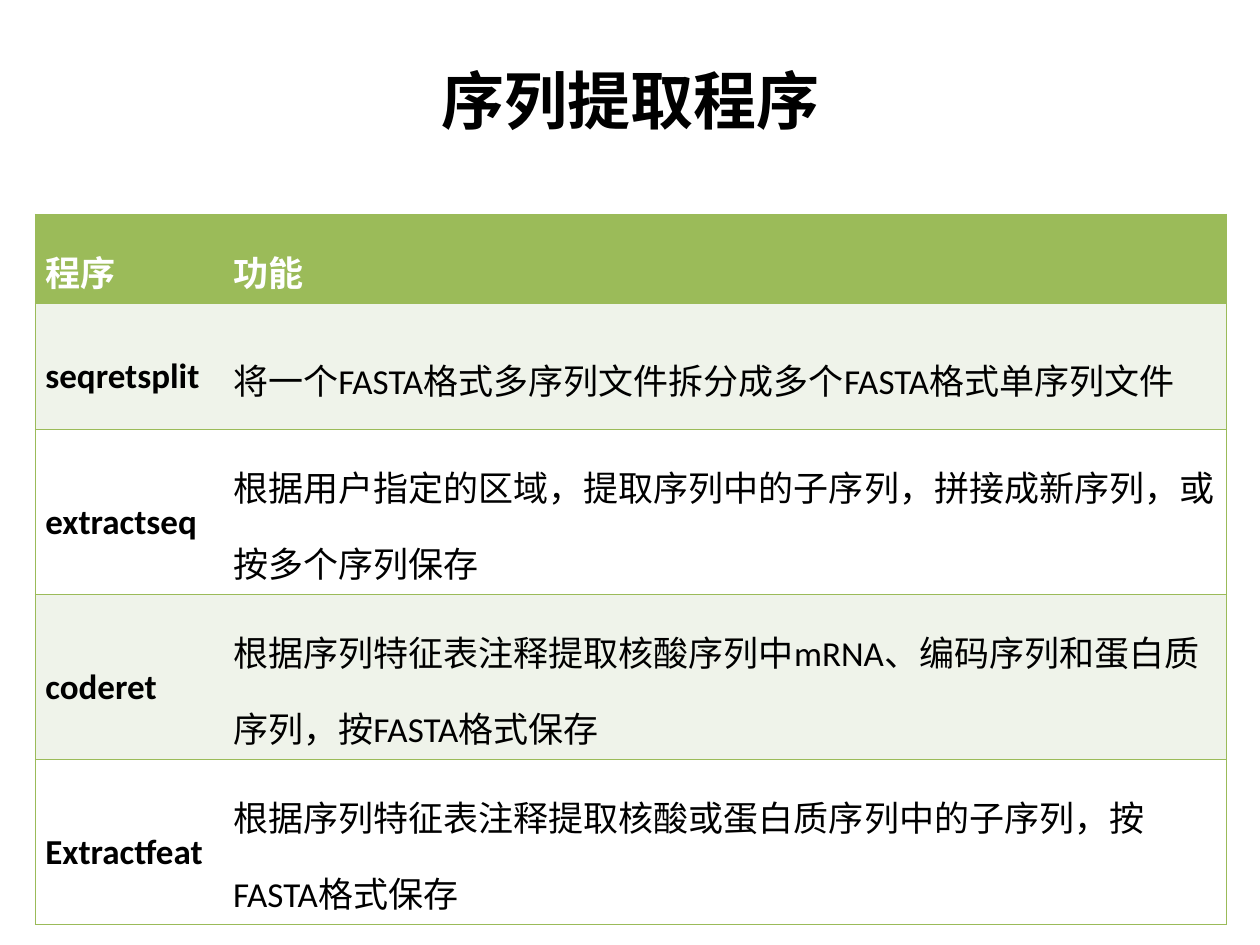
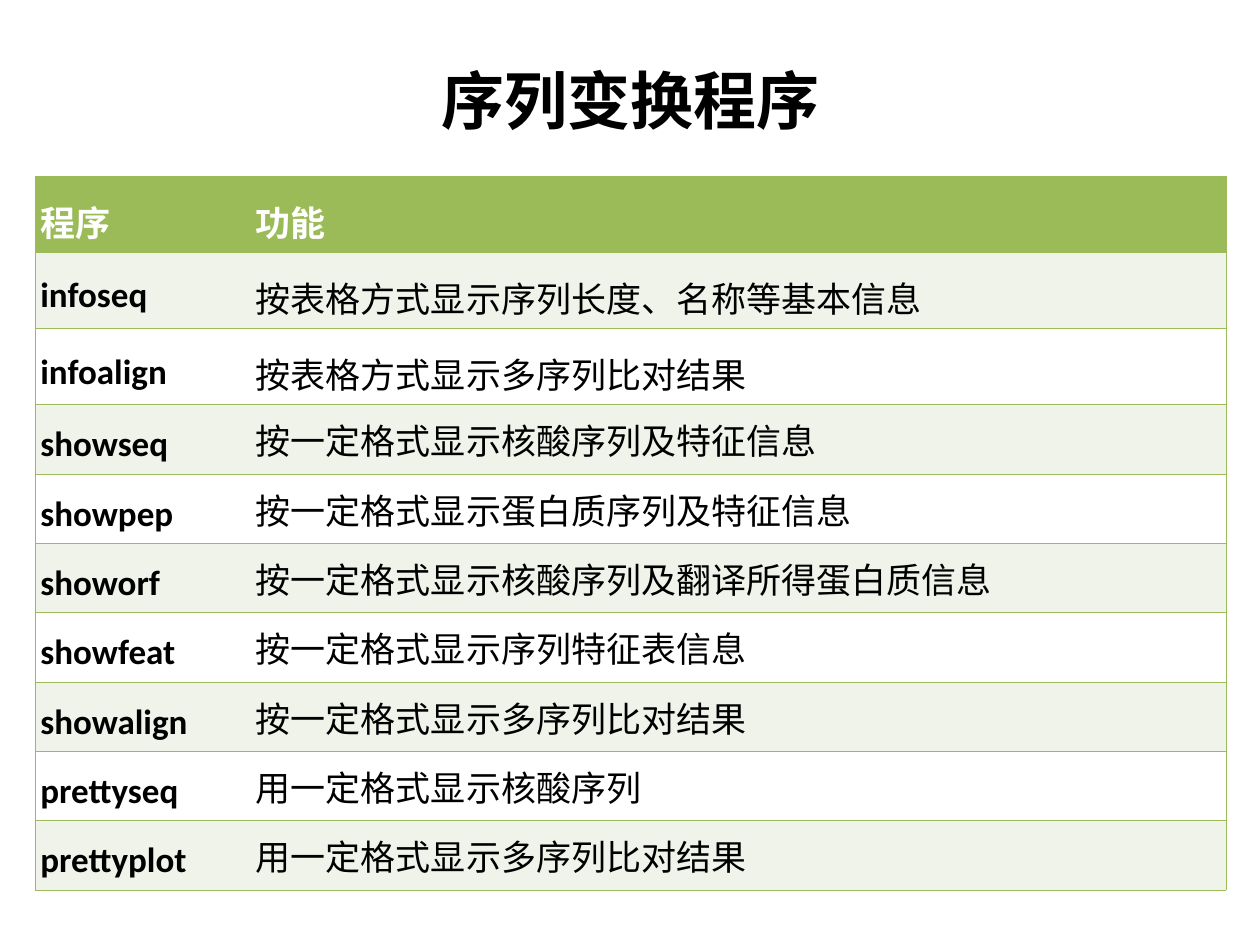
"""Build two slides listing sequence extraction and sequence display programs."""
from lxml.etree import SubElement
from pptx import Presentation
from pptx.dml.color import RGBColor
from pptx.enum.text import MSO_ANCHOR, MSO_AUTO_SIZE, PP_ALIGN
from pptx.oxml.ns import qn
from pptx.util import Inches, Pt

GREEN = RGBColor(0x9B, 0xBB, 0x59)
PALE_GREEN = RGBColor(0xEF, 0xF3, 0xEA)
WHITE = RGBColor(0xFF, 0xFF, 0xFF)
BLACK = RGBColor(0x00, 0x00, 0x00)
FONT = "Calibri"
LEFT, WIDTH = 0.28, 9.45
HEADINGS = ("程序", "功能")

TOPICS = [
    {
        "title": "序列提取程序",
        "top": 1.7,
        "columns": (1.49, 7.96),
        "heights": (0.61, 1, 1.3, 1.3, 1.3),
        "inset": 0.08,
        "spacing": 1.5,
        "justified_from": None,
        "programs": [
            ("seqretsplit", "将一个FASTA格式多序列文件拆分成多个FASTA格式单序列文件"),
            ("extractseq", "根据用户指定的区域，提取序列中的子序列，拼接成新序列，或按多个序列保存"),
            ("coderet", "根据序列特征表注释提取核酸序列中mRNA、编码序列和蛋白质序列，按FASTA格式保存"),
            ("Extractfeat", "根据序列特征表注释提取核酸或蛋白质序列中的子序列，按FASTA格式保存"),
        ],
    },
    {
        "title": "序列变换程序",
        "top": 1.4,
        "columns": (1.71, 7.74),
        "heights": (0.55,) * 10,
        "inset": 0.04,
        "spacing": 1.25,
        "justified_from": 3,
        "programs": [
            ("infoseq", "按表格方式显示序列长度、名称等基本信息"),
            ("infoalign", "按表格方式显示多序列比对结果"),
            ("showseq", "按一定格式显示核酸序列及特征信息"),
            ("showpep", "按一定格式显示蛋白质序列及特征信息"),
            ("showorf", "按一定格式显示核酸序列及翻译所得蛋白质信息"),
            ("showfeat", "按一定格式显示序列特征表信息"),
            ("showalign", "按一定格式显示多序列比对结果"),
            ("prettyseq", "用一定格式显示核酸序列"),
            ("prettyplot", "用一定格式显示多序列比对结果"),
        ],
    },
]


def apply(target, values):
    for name, value in values.items():
        setattr(target, name, value)


def draw_borders(cell, open_side):
    properties = cell._tc.get_or_add_tcPr()
    for side in ("lnL", "lnR", "lnT", "lnB"):
        border = SubElement(properties, qn(f"a:{side}"), w=str(Pt(0.45)))
        if side == open_side:
            SubElement(border, qn("a:noFill"))
        else:
            color = SubElement(border, qn("a:solidFill"))
            SubElement(color, qn("a:srgbClr"), val=str(GREEN))


prs = Presentation()
prs.slide_width, prs.slide_height = Inches(10), Inches(7.5)

for topic in TOPICS:
    slide = prs.slides.add_slide(prs.slide_layouts[5])
    title = slide.shapes.title
    apply(title, {"left": Inches(LEFT), "top": Inches(0.39),
                  "width": Inches(WIDTH), "height": Inches(0.79)})
    title.text_frame.text = topic["title"]
    apply(title.text_frame, {
        "margin_left": Inches(0.14), "margin_right": Inches(0.14),
        "margin_top": Inches(0.08), "margin_bottom": Inches(0.08),
        "vertical_anchor": MSO_ANCHOR.MIDDLE,
        "auto_size": MSO_AUTO_SIZE.NONE, "word_wrap": True})
    heading = title.text_frame.paragraphs[0]
    apply(heading, {"alignment": PP_ALIGN.CENTER, "space_before": Pt(0)})
    apply(heading.runs[0].font, {"name": FONT, "size": Pt(36), "bold": True})
    heading.runs[0].font.color.rgb = BLACK

    rows = [HEADINGS, *topic["programs"]]
    programs = slide.shapes.add_table(
        len(rows), len(HEADINGS), Inches(LEFT), Inches(topic["top"]),
        Inches(WIDTH), Inches(sum(topic["heights"]))).table
    for column, width in zip(programs.columns, topic["columns"]):
        column.width = Inches(width)

    for row, entries in enumerate(rows):
        programs.rows[row].height = Inches(topic["heights"][row])
        row_fill = GREEN if row == 0 else PALE_GREEN if row % 2 else WHITE
        for column, text in enumerate(entries):
            cell = programs.cell(row, column)
            cell.text = text
            apply(cell, {
                "margin_left": Inches(topic["inset"]),
                "margin_right": Inches(topic["inset"]),
                "margin_top": Inches(0.05), "margin_bottom": Inches(0.05),
                "vertical_anchor": MSO_ANCHOR.MIDDLE})
            draw_borders(cell, "lnL" if column else "lnR")
            cell.fill.solid()
            cell.fill.fore_color.rgb = row_fill

            entry = cell.text_frame.paragraphs[0]
            first_justified = topic["justified_from"]
            if column and first_justified and row >= first_justified:
                entry.alignment = PP_ALIGN.JUSTIFY
            else:
                entry.line_spacing = topic["spacing"]
            font = entry.runs[0].font
            apply(font, {"name": FONT, "size": Pt(20),
                         "bold": row == 0 or column == 0})
            font.color.rgb = BLACK if row else WHITE

prs.save("out.pptx")
